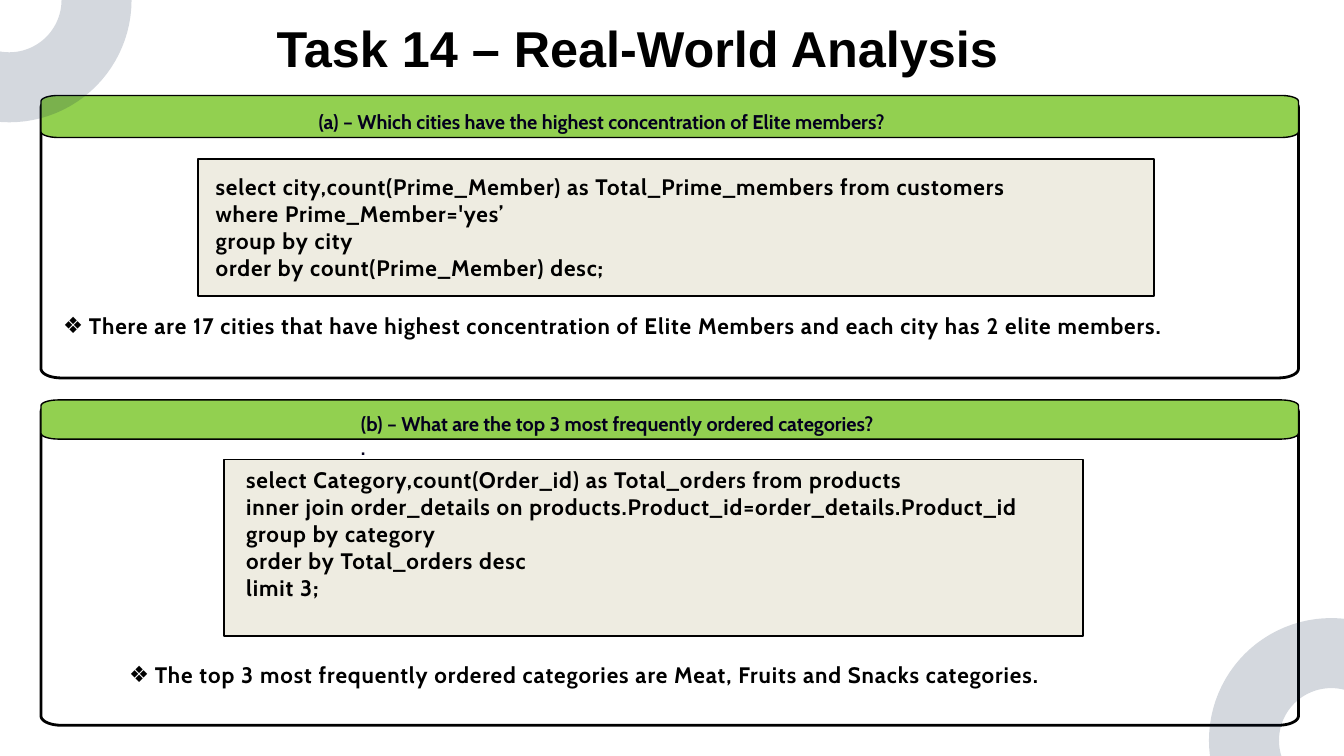
import math
from dataclasses import dataclass

from lxml import etree
from pptx import Presentation
from pptx.dml.color import RGBColor
from pptx.enum.shapes import MSO_SHAPE
from pptx.enum.text import MSO_ANCHOR, MSO_AUTO_SIZE, PP_ALIGN
from pptx.oxml.ns import qn
from pptx.util import Cm, Pt

RECTANGLE = MSO_SHAPE.RECTANGLE
OVAL = MSO_SHAPE.OVAL
TOP = MSO_ANCHOR.TOP
NO_AUTOFIT = MSO_AUTO_SIZE.NONE
LEFT = PP_ALIGN.LEFT
JUSTIFY = PP_ALIGN.JUSTIFY


@dataclass(frozen=True)
class Theme:
    black: str = "000000"
    white: str = "FFFFFF"
    question: str = "04001E"
    band: str = "92D050"
    code_fill: str = "EEECE1"
    ring: str = "051D40"
    ring_alpha: int = 16000
    title_font: str = "Arial"
    body_font: str = "Cabin"
    title_size: float = 54
    title_leading: float = 66
    question_size: float = 21.3
    body_size: float = 24
    letter_spacing: int = 97


THEME = Theme()
CARD_LEFT, CARD_WIDTH = 1.55, 47.53
CARD_CORNER = (0.77, 0.35)
BAND_CORNER = (0.66, 0.22)
BAND_RISE = 0.1
RING_SIZE = 6.6
RINGS = [(-2.95, -3.3), (47.02, 24.69)]

SECTIONS = [
    {
        "card": (3.71, 10.58),
        "band_height": 1.59,
        "question_box": (12.04, 4.14, 27.2, 0.91),
        "question": ["(a) – Which cities have the highest concentration of Elite members?"],
        "code_panel": (7.49, 6.02, 36.12, 5.18),
        "code_box": (8.15, 6.55, 35, 4.11),
        "code": "select city,count(Prime_Member) as Total_Prime_members from customers\n"
                "where Prime_Member='yes’\n"
                "group by city\n"
                "order by count(Prime_Member) desc;",
        "finding_box": (2.39, 11.79, 44.63, 2.06),
        "finding": "There are 17 cities that have highest concentration of Elite Members "
                   "and each city has 2 elite members.",
    },
    {
        "card": (15.22, 12.2),
        "band_height": 1.48,
        "question_box": (13.64, 15.57, 22.73, 1.83),
        "question": ["(b) – What are the top 3 most frequently ordered categories?", "."],
        "code_panel": (8.46, 17.37, 32.49, 6.68),
        "code_box": (9.3, 17.63, 30.81, 6.15),
        "code": "select Category,count(Order_id) as Total_orders from products\n"
                "inner join order_details on products.Product_id=order_details.Product_id\n"
                "group by category\n"
                "order by Total_orders desc\n"
                "limit 3;",
        "finding_box": (4.88, 24.99, 39.7, 1.02),
        "finding": "The top 3 most frequently ordered categories are Meat, Fruits "
                   "and Snacks categories.",
    },
]


def style_shape(shape, fill, line, width):
    shape.shadow.inherit = False
    if fill:
        shape.fill.solid()
        shape.fill.fore_color.rgb = RGBColor.from_string(fill)
    else:
        shape.fill.background()
    shape.line.color.rgb = RGBColor.from_string(line)
    shape.line.width = Pt(width)


def add_rounded_panel(slide, top, height, corner, fill, width):
    rx, ry = corner
    right, bottom = CARD_LEFT + CARD_WIDTH, top + height
    centres = [(right - rx, bottom - ry), (CARD_LEFT + rx, bottom - ry),
               (CARD_LEFT + rx, top + ry), (right - rx, top + ry)]
    outline = []
    for quarter, (x, y) in enumerate(centres):
        for step in range(0, 91, 10):
            angle = math.radians(quarter * 90 + step)
            outline.append((Cm(x + rx * math.cos(angle)), Cm(y + ry * math.sin(angle))))
    builder = slide.shapes.build_freeform(*outline[0])
    builder.add_line_segments(outline[1:], close=True)
    style_shape(builder.convert_to_shape(), fill, THEME.black, width)


def add_ring(slide, left, top):
    ring = slide.shapes.add_shape(OVAL, Cm(left), Cm(top), Cm(RING_SIZE), Cm(RING_SIZE))
    style_shape(ring, None, THEME.ring, 75)
    for colour in ring.element.iter(qn("a:srgbClr")):
        etree.SubElement(colour, qn("a:alpha"), val=str(THEME.ring_alpha))


def prepare_frame(shape):
    frame = shape.text_frame
    frame.word_wrap = True
    frame.auto_size = NO_AUTOFIT
    frame.vertical_anchor = TOP
    frame.margin_left = frame.margin_top = frame.margin_right = frame.margin_bottom = 0
    return frame


def style_paragraph(paragraph, font_name, size, colour, spacing=0):
    font = paragraph.font
    font.name = font_name
    font.size = Pt(size)
    font.bold = True
    font.color.rgb = RGBColor.from_string(colour)
    if spacing:
        paragraph._p.pPr.find(qn("a:defRPr")).set("spc", str(spacing))


def add_text(slide, box, lines, size, colour, spacing=0):
    frame = prepare_frame(slide.shapes.add_textbox(*map(Cm, box)))
    for index, line in enumerate(lines):
        paragraph = frame.add_paragraph() if index else frame.paragraphs[0]
        paragraph.text = line
        style_paragraph(paragraph, THEME.body_font, size, colour, spacing)


def place_placeholder(placeholder, box):
    placeholder.left, placeholder.top, placeholder.width, placeholder.height = map(Cm, box)
    placeholder.element.getparent().append(placeholder.element)
    return prepare_frame(placeholder).paragraphs[0]


def fill_title(placeholder, text):
    title = place_placeholder(placeholder, (10.46, 0.61, 30.07, 2.24))
    title.text = text
    title.alignment = LEFT
    title.line_spacing = Pt(THEME.title_leading)
    style_paragraph(title, THEME.title_font, THEME.title_size, THEME.black)


def fill_finding(placeholder, box, text):
    finding = place_placeholder(placeholder, box)
    finding.text = text
    finding.alignment = JUSTIFY
    finding.space_before = Pt(0)
    properties = finding._p.get_or_add_pPr()
    properties.set("marL", str(Cm(0.97)))
    properties.set("indent", str(-Cm(0.97)))
    etree.SubElement(properties, qn("a:buChar"), char="❖")
    style_paragraph(finding, THEME.body_font, THEME.body_size, THEME.black,
                    THEME.letter_spacing)


def add_section(slide, section, finding_placeholder):
    top, height = section["card"]
    add_rounded_panel(slide, top, height, CARD_CORNER, THEME.white, 3)
    code_panel = slide.shapes.add_shape(RECTANGLE, *map(Cm, section["code_panel"]))
    style_shape(code_panel, THEME.code_fill, THEME.black, 2)
    add_rounded_panel(slide, top - BAND_RISE, section["band_height"], BAND_CORNER,
                      THEME.band, 1.5)
    add_text(slide, section["question_box"], section["question"],
             THEME.question_size, THEME.question)
    add_text(slide, section["code_box"], [section["code"]], THEME.body_size,
             THEME.black, THEME.letter_spacing)
    fill_finding(finding_placeholder, section["finding_box"], section["finding"])


def main():
    deck = Presentation()
    deck.slide_width, deck.slide_height = Cm(50.8), Cm(28.58)
    slide = deck.slides.add_slide(deck.slide_layouts[3])
    title, *findings = list(slide.placeholders)
    fill_title(title, "Task 14 – Real-World Analysis")
    for section, finding in zip(SECTIONS, findings):
        add_section(slide, section, finding)
    for left, top in RINGS:
        add_ring(slide, left, top)
    deck.save("out.pptx")


if __name__ == "__main__":
    main()
